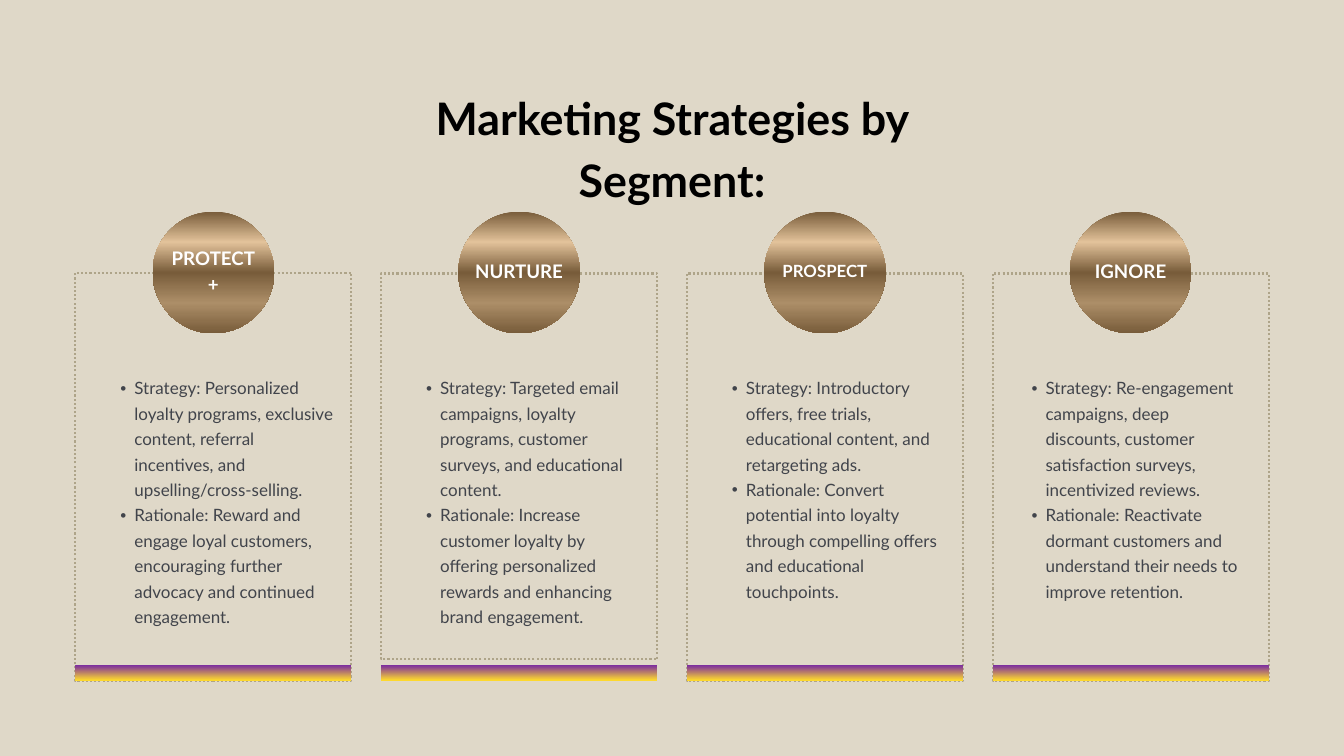
import copy

import pptx
import pptx.dml.color
import pptx.enum.dml
import pptx.enum.shapes
import pptx.enum.text
import pptx.oxml
import pptx.oxml.ns
import pptx.util

Inches = pptx.util.Inches
Pt = pptx.util.Pt
ALIGN = pptx.enum.text.PP_ALIGN
ANCHOR = pptx.enum.text.MSO_ANCHOR
SHAPE = pptx.enum.shapes.MSO_SHAPE

THEME = {
    "font": "Lato",
    "background": "DFD8C8",
    "title": "000000",
    "body": "41444B",
    "label": "FFFFFF",
    "frame": "AEA489",
    "bar": [(0, "7B2D9F"), (100, "FDD82E")],
    "badge": [(0, "785C3A"), (25, "E2C29A"), (50, "785C3A"), (75, "AC8E68"), (100, "785C3A")],
    "title_size": 48,
    "body_size": 18.2,
    "label_size": 20,
    "small_label_size": 18,
}

TITLE = "Marketing Strategies by Segment:"
SEGMENTS = [
    {
        "label": "PROTECT+", "size": THEME["label_size"],
        "frame_top": 4.06, "frame_height": 6.07, "list_inset": 0.45, "list_width": 3.45,
        "points": [
            "Strategy: Personalized loyalty programs, exclusive content, referral incentives, and upselling/cross-selling.",
            "Rationale: Reward and engage loyal customers, encouraging further advocacy and continued engagement.",
        ],
    },
    {
        "label": "NURTURE", "size": THEME["label_size"],
        "frame_top": 4.07, "frame_height": 5.74, "list_inset": 0.45, "list_width": 3.22,
        "points": [
            "Strategy: Targeted email campaigns, loyalty programs, customer surveys, and educational content.",
            "Rationale: Increase customer loyalty by offering personalized rewards and enhancing brand engagement.",
        ],
    },
    {
        "label": "PROSPECT", "size": THEME["small_label_size"],
        "frame_top": 4.07, "frame_height": 6.07, "list_inset": 0.45, "list_width": 3.42,
        "points": [
            "Strategy: Introductory offers, free trials, educational content, and retargeting ads.",
            "Rationale: Convert potential into loyalty through compelling offers and educational touchpoints.",
        ],
    },
    {
        "label": "IGNORE", "size": THEME["label_size"],
        "frame_top": 4.07, "frame_height": 6.07, "list_inset": 0.36, "list_width": 3.4,
        "points": [
            "Strategy: Re-engagement campaigns, deep discounts, customer satisfaction surveys, incentivized reviews.",
            "Rationale: Reactivate dormant customers and understand their needs to improve retention.",
        ],
    },
]

LEFT, PITCH, COLUMN_WIDTH = 1.12, 4.55, 4.11
BADGE_TOP, BADGE_SIZE, LABEL_WIDTH, LABEL_HEIGHT = 3.15, 1.81, 1.47, 1.58
BAR_TOP, BAR_HEIGHT = 9.9, 0.22
LIST_TOP, LIST_HEIGHT = 5.55, 3.75


def rgb(color):
    return pptx.dml.color.RGBColor.from_string(color)


def place(s, left, top, width, height):
    s.left, s.top, s.width, s.height = map(Inches, (left, top, width, height))


def write(s, texts, size, color, spacing, bold=False, align=ALIGN.LEFT,
          anchor=ANCHOR.TOP, inset=0, bullet=False):
    tf = s.text_frame
    tf.word_wrap = True
    tf.auto_size = pptx.enum.text.MSO_AUTO_SIZE.NONE
    tf.vertical_anchor = anchor
    tf.margin_left = tf.margin_top = tf.margin_right = tf.margin_bottom = Inches(inset)
    for i, text in enumerate(texts):
        p = tf.add_paragraph() if i else tf.paragraphs[0]
        p.alignment = align
        p.line_spacing = Pt(spacing)
        p.space_before = p.space_after = Pt(0)
        if bullet:
            p.level = 1
            pPr = p._p.get_or_add_pPr()
            pPr.set("marL", str(Inches(0.43)))
            pPr.set("indent", str(Inches(-0.21)))
            pPr.append(pptx.oxml.parse_xml(
                f'<a:buChar {pptx.oxml.ns.nsdecls("a")} char="•"/>'))
        r = p.add_run()
        r.text = text
        r.font.name = THEME["font"]
        r.font.size = Pt(size)
        r.font.bold = bold
        r.font.color.rgb = rgb(color)


def add_shape(slide, kind, left, top, width, height):
    s = slide.shapes.add_shape(kind, *map(Inches, (left, top, width, height)))
    s.shadow.inherit = False
    s.fill.background()
    s.line.fill.background()
    return s


def fill_gradient(s, stops):
    s.fill.gradient()
    s.fill.gradient_angle = 270
    stop_list = s.fill.gradient_stops[0]._gs.getparent()
    while len(stop_list) < len(stops):
        stop_list.append(copy.deepcopy(stop_list[0]))
    for stop, (position, color) in zip(s.fill.gradient_stops, stops):
        stop.position = position / 100
        stop.color.rgb = rgb(color)


def add_segment(slide, body, left, segment):
    frame = add_shape(slide, SHAPE.RECTANGLE, left, segment["frame_top"],
                      COLUMN_WIDTH, segment["frame_height"])
    frame.line.color.rgb = rgb(THEME["frame"])
    frame.line.width = Pt(2.25)
    frame.line.dash_style = pptx.enum.dml.MSO_LINE.ROUND_DOT

    bar = add_shape(slide, SHAPE.RECTANGLE, left, BAR_TOP, COLUMN_WIDTH, BAR_HEIGHT)
    fill_gradient(bar, THEME["bar"])

    place(body, left + segment["list_inset"], LIST_TOP, segment["list_width"], LIST_HEIGHT)
    write(body, segment["points"], THEME["body_size"], THEME["body"], 27.2, bullet=True)

    center = left + COLUMN_WIDTH / 2
    badge = add_shape(slide, SHAPE.OVAL, center - BADGE_SIZE / 2, BADGE_TOP,
                      BADGE_SIZE, BADGE_SIZE)
    fill_gradient(badge, THEME["badge"])
    label = slide.shapes.add_textbox(0, 0, 0, 0)
    place(label, center - LABEL_WIDTH / 2, 3.22, LABEL_WIDTH, LABEL_HEIGHT)
    write(label, [segment["label"]], segment["size"], THEME["label"], segment["size"] * 1.4,
          bold=True, align=ALIGN.CENTER, anchor=ANCHOR.MIDDLE, inset=0.06)


def main():
    prs = pptx.Presentation()
    prs.slide_width, prs.slide_height = Inches(20), Inches(11.25)
    slide = prs.slides.add_slide(prs.slide_layouts.get_by_name("Comparison"))
    slide.background.fill.solid()
    slide.background.fill.fore_color.rgb = rgb(THEME["background"])

    title, *bodies = list(slide.placeholders)
    place(title, 5.03, 1.21, 9.94, 0.9)
    write(title, [TITLE], THEME["title_size"], THEME["title"], 67.2,
          bold=True, align=ALIGN.CENTER)
    for i, (body, segment) in enumerate(zip(bodies, SEGMENTS)):
        add_segment(slide, body, LEFT + i * PITCH, segment)
    prs.save("out.pptx")


if __name__ == "__main__":
    main()
